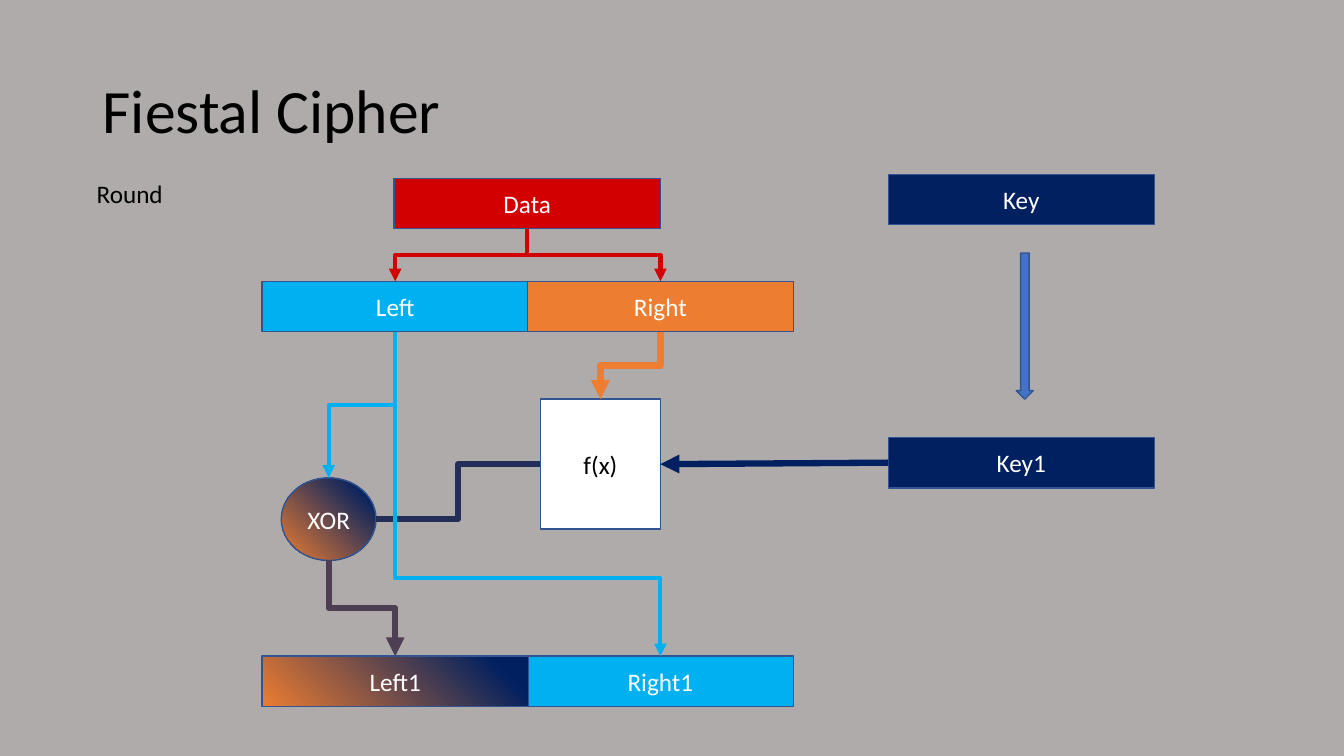
from dataclasses import dataclass

from lxml.etree import SubElement
from pptx import Presentation
from pptx.dml.color import RGBColor
from pptx.enum.shapes import MSO_CONNECTOR, MSO_SHAPE
from pptx.enum.text import MSO_ANCHOR, PP_ALIGN
from pptx.oxml.ns import qn
from pptx.shapes.autoshape import Shape
from pptx.shapes.connector import Connector
from pptx.slide import Slide
from pptx.text.text import TextFrame
from pptx.util import Inches, Pt

RED, SKY, ORANGE, NAVY = "D30000", "00B0F0", "ED7D31", "002060"
WHITE, BLACK, OUTLINE = "FFFFFF", "000000", "325491"
BLEND = ((0.12, NAVY), (1.0, ORANGE))
BAR_WIDTH, BAR_HEIGHT = 2.64, 0.5
LEFT_X, DATA_X, RIGHT_X, KEY_X = 2.6, 3.91, 5.23, 8.81
HALVES_Y, RESULT_Y = 2.79, 6.51


@dataclass(frozen=True)
class Block:
    label: str
    x: float
    y: float
    fill: str | tuple[tuple[float, str], ...]
    width: float = BAR_WIDTH
    height: float = BAR_HEIGHT
    geometry: MSO_SHAPE = MSO_SHAPE.RECTANGLE
    text_color: str = WHITE

    @property
    def center(self) -> tuple[float, float]:
        return self.x + self.width / 2, self.y + self.height / 2


@dataclass(frozen=True)
class Flow:
    """A path from the bottom of one block to the top of another."""
    source: str
    target: str
    color: str
    weight: float
    bend: float = 0.5


BLOCKS = (
    Block("Left", LEFT_X, HALVES_Y, SKY),
    Block("Right", RIGHT_X, HALVES_Y, ORANGE),
    Block("Right1", RIGHT_X, RESULT_Y, SKY),
    Block("Left1", LEFT_X, RESULT_Y, BLEND),
    Block("Key", KEY_X, 1.73, NAVY),
    Block("Key1", KEY_X, 4.34, NAVY),
    Block("", 10.08, 2.51, "4472C4", 0.17, 1.45, MSO_SHAPE.DOWN_ARROW),
    Block("XOR", 2.79, 4.74, BLEND, 0.94, 0.82, MSO_SHAPE.OVAL),
    Block("f(x)", 5.36, 3.96, WHITE, 1.19, 1.29, text_color=BLACK),
    Block("Data", DATA_X, 1.77, RED),
)
FLOWS = (
    Flow("Right", "f(x)", ORANGE, 4.5),
    Flow("Left", "Right1", SKY, 3, 0.76),
    Flow("XOR", "Left1", "4E3E51", 4.5),
    Flow("Left", "XOR", SKY, 3),
    Flow("Data", "Left", RED, 3),
    Flow("Data", "Right", RED, 3),
)


def rgb(color: str) -> RGBColor:
    return RGBColor.from_string(color)


def write(frame: TextFrame, text: str, color: str, size: float = 18,
          **paragraph_format) -> None:
    frame.word_wrap = True
    paragraph = frame.paragraphs[0]
    for name, value in paragraph_format.items():
        setattr(paragraph, name, value)
    run = paragraph.add_run()
    run.text = text
    for name, value in {"name": "Calibri", "size": Pt(size)}.items():
        setattr(run.font, name, value)
    run.font.color.rgb = rgb(color)


def add_label(slide: Slide, text: str, place: tuple[float, ...], size: float,
              anchor: MSO_ANCHOR, **paragraph_format) -> None:
    frame = slide.shapes.add_textbox(*map(Inches, place)).text_frame
    frame.vertical_anchor = anchor
    write(frame, text, BLACK, size, **paragraph_format)


def add_block(slide: Slide, block: Block) -> Shape:
    place = map(Inches, (block.x, block.y, block.width, block.height))
    shape = slide.shapes.add_shape(block.geometry, *place)
    shape.shadow.inherit = False
    if isinstance(block.fill, str):
        shape.fill.solid()
        shape.fill.fore_color.rgb = rgb(block.fill)
    else:
        shape.fill.gradient()
        shape.fill.gradient_angle = 225
        for stop, (position, color) in zip(shape.fill.gradient_stops, block.fill):
            stop.position = position
            stop.color.rgb = rgb(color)
    shape.line.color.rgb = rgb(OUTLINE)
    shape.line.width = Pt(1)
    if block.label:
        shape.text_frame.vertical_anchor = MSO_ANCHOR.MIDDLE
        write(shape.text_frame, block.label, block.text_color,
              alignment=PP_ALIGN.CENTER)
    return shape


def add_path(slide: Slide, kind: MSO_CONNECTOR, ends: tuple[float, ...],
             color: str, weight: float, arrow: bool = True) -> Connector:
    path = slide.shapes.add_connector(kind, *map(Inches, ends))
    path.line.color.rgb = rgb(color)
    path.line.width = Pt(weight)
    properties = path._element.spPr
    if arrow:
        SubElement(properties.find(qn("a:ln")), qn("a:tailEnd"), type="triangle")
    SubElement(properties, qn("a:effectLst"))
    return path


def add_flow(slide: Slide, flow: Flow, blocks: dict[str, Block]) -> None:
    """Turn an elbow a quarter so that it leaves and arrives vertically."""
    source, target = blocks[flow.source], blocks[flow.target]
    start_x, end_x = source.center[0], target.center[0]
    start_y, end_y = source.y + source.height, target.y
    middle_x, middle_y = (start_x + end_x) / 2, (start_y + end_y) / 2
    rightward = end_x > start_x
    half_run = (end_y - start_y) / 2 * (-1 if rightward else 1)
    half_rise = abs(end_x - start_x) / 2
    path = add_path(slide, MSO_CONNECTOR.ELBOW,
                    (middle_x - half_run, middle_y - half_rise,
                     middle_x + half_run, middle_y + half_rise),
                    flow.color, flow.weight)
    properties = path._element.spPr
    turn = 270 if rightward else 90
    properties.find(qn("a:xfrm")).set("rot", str(turn * 60000))
    guides = properties.find(qn("a:prstGeom")).find(qn("a:avLst"))
    SubElement(guides, qn("a:gd"), name="adj1",
               fmla=f"val {round(flow.bend * 100000)}")


def main() -> None:
    deck = Presentation()
    deck.slide_width, deck.slide_height = Inches(13.33), Inches(7.5)
    slide = deck.slides.add_slide(deck.slide_layouts[6])
    slide.background.fill.solid()
    slide.background.fill.fore_color.rgb = rgb("AFABAB")

    add_label(slide, "Fiestal Cipher", (0.92, 0.4, 11.5, 1.45), 44,
              MSO_ANCHOR.MIDDLE, line_spacing=0.9)
    add_label(slide, "Round", (0.86, 1.72, 3.32, 0.4), 18, MSO_ANCHOR.TOP)

    blocks = {block.label: block for block in BLOCKS}
    shapes = {block.label: add_block(slide, block) for block in BLOCKS}

    function, xor = blocks["f(x)"], blocks["XOR"]
    add_path(slide, MSO_CONNECTOR.ELBOW,
             (function.x, function.center[1], xor.x + xor.width, xor.center[1]),
             "242E59", 4.5, arrow=False)
    key_path = add_path(slide, MSO_CONNECTOR.STRAIGHT,
                        (KEY_X, 4.59, function.x + function.width, 4.6), NAVY, 4.5)
    key_path.begin_connect(shapes["Key1"], 1)
    key_path.end_connect(shapes["f(x)"], 3)
    for flow in FLOWS:
        add_flow(slide, flow, blocks)

    deck.save("out.pptx")


if __name__ == "__main__":
    main()
